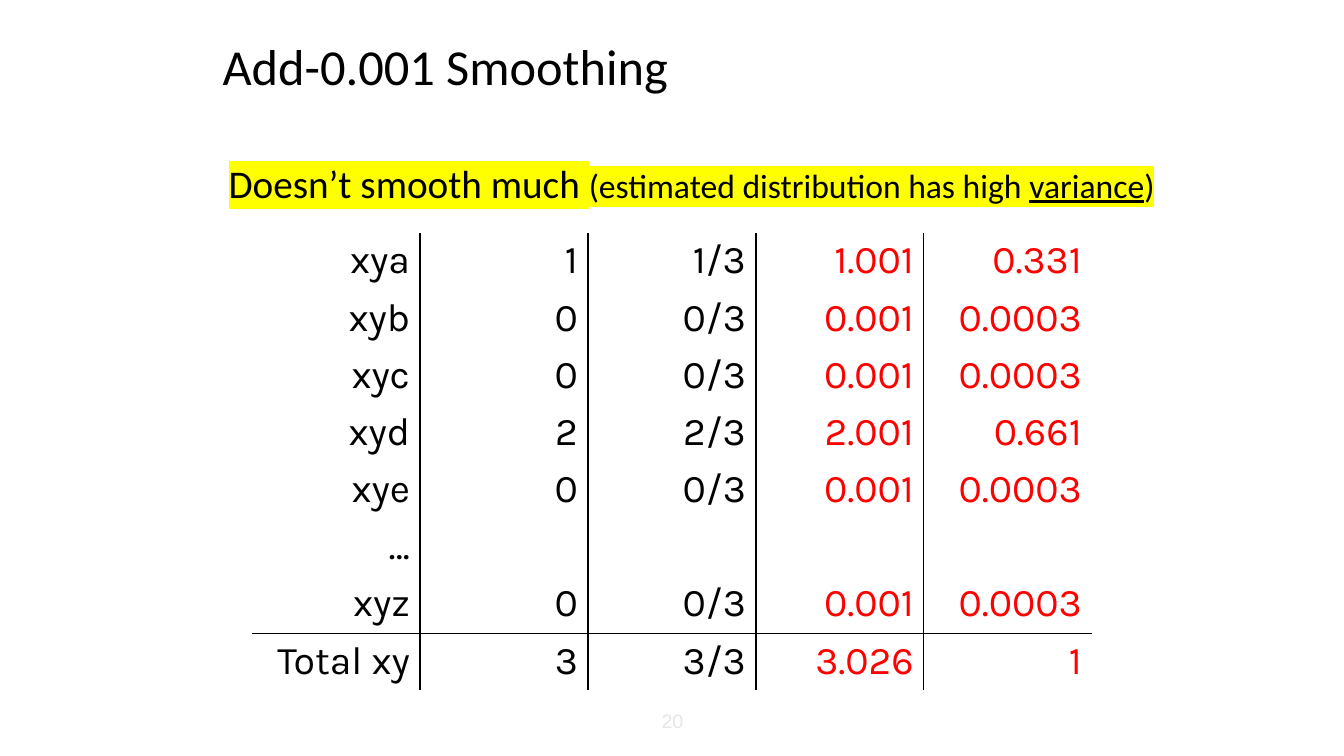
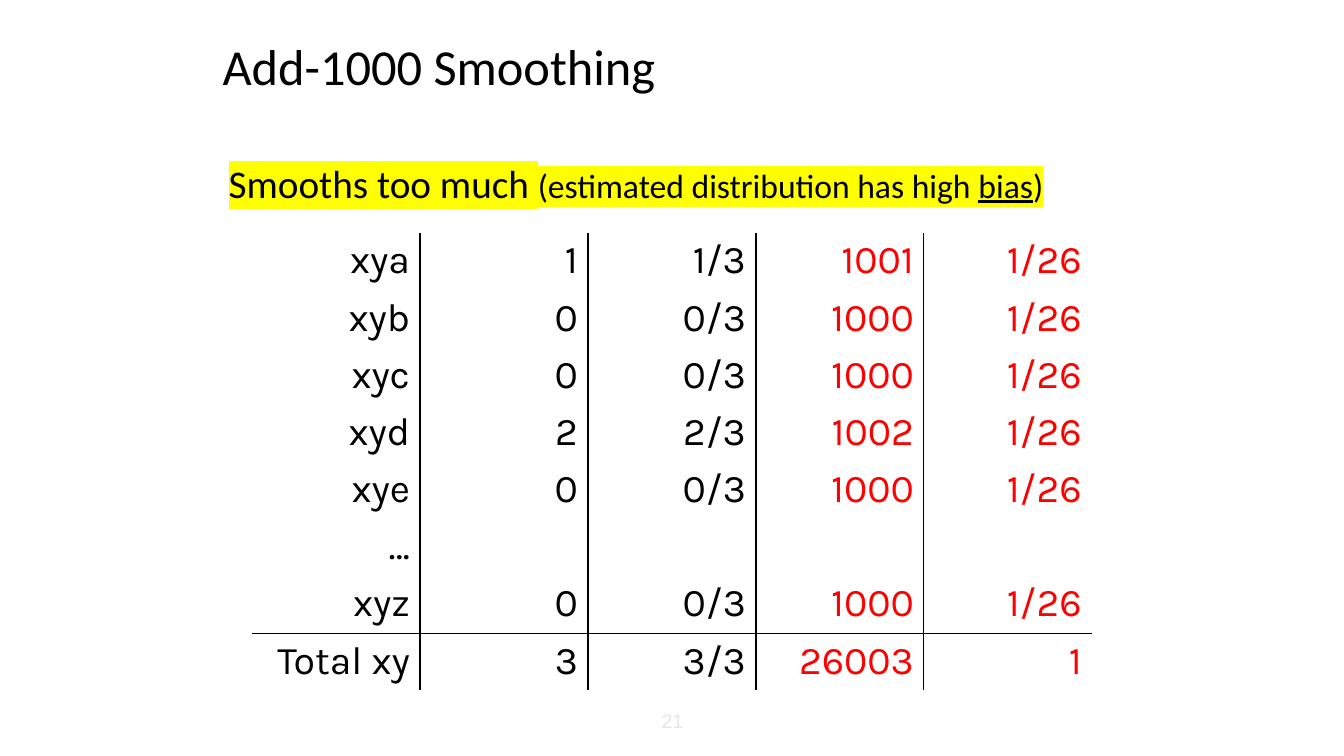
from lxml.etree import SubElement
from pptx import Presentation
from pptx.dml.color import RGBColor
from pptx.enum.text import MSO_ANCHOR as Anchor, PP_ALIGN as Align
from pptx.oxml.ns import qn
from pptx.util import Inches, Pt

BLACK, RED, YELLOW, PALE = "000000", "FF0000", "FFFF00", "E7E6E6"


def color(value):
    return RGBColor.from_string(value)


def add_span(para, text, size=28, font="Calibri", ink=BLACK, mark=None, underline=None):
    """Add one formatted run to a paragraph."""
    span = para.add_run()
    span.text = text
    span.font.size = Pt(size)
    span.font.color.rgb = color(ink)
    if mark:
        highlight = SubElement(span.font._element, qn("a:highlight"))
        SubElement(highlight, qn("a:srgbClr"), val=mark)
    span.font.name = font
    span.font.underline = underline


def set_border(cell, side, visible):
    line = SubElement(cell._tc.get_or_add_tcPr(), qn(f"a:ln{side}"), w=str(Pt(1)))
    if visible:
        fill = SubElement(line, qn("a:solidFill"))
        SubElement(fill, qn("a:srgbClr"), val=BLACK)
    else:
        SubElement(line, qn("a:noFill"))


class Deck:
    def __init__(self):
        self.deck = Presentation()
        self.deck.slide_width = Inches(13.33)
        self.deck.slide_height = Inches(7.5)
        self.page = None

    def add_page(self):
        self.page = self.deck.slides.add_slide(self.deck.slide_layouts[6])

    def text_box(self, left, top, width, height, anchor=Anchor.TOP):
        """Add a wrapping text box and return its first paragraph."""
        box = self.page.shapes.add_textbox(
            Inches(left), Inches(top), Inches(width), Inches(height))
        box.text_frame.word_wrap = True
        box.text_frame.vertical_anchor = anchor
        return box.text_frame.paragraphs[0]

    def title(self, text):
        para = self.text_box(2.11, 0.06, 9.56, 1.25, Anchor.MIDDLE)
        para.line_spacing = 0.9
        add_span(para, text, size=36)

    def remark(self, verdict, term):
        para = self.text_box(2.17, 1.58, 9.5, 0.6)
        para.line_spacing = 0.9
        add_span(para, verdict + " ", mark=YELLOW)
        add_span(para, "(estimated distribution has high ", size=24, mark=YELLOW)
        add_span(para, term, size=24, mark=YELLOW, underline=True)
        add_span(para, ")", size=24, mark=YELLOW)

    def page_number(self, number):
        para = self.text_box(5.67, 6.95, 2, 0.4, Anchor.MIDDLE)
        para.alignment = Align.CENTER
        add_span(para, str(number), size=14, font="Arial", ink=PALE)

    def count_table(self, rows):
        row_count, column_count = len(rows), len(rows[0])
        table = self.page.shapes.add_table(
            row_count, column_count,
            Inches(2.5), Inches(2.31), Inches(8.33), Inches(4.53)).table
        table.first_row = table.horz_banding = False
        for r, values in enumerate(rows):
            for c, value in enumerate(values):
                cell = table.cell(r, c)
                # Rules stand between columns and above the total row
                set_border(cell, "L", c > 0)
                set_border(cell, "R", c < column_count - 1)
                set_border(cell, "T", r == row_count - 1)
                set_border(cell, "B", r == row_count - 2)
                cell.fill.background()
                if value:
                    para = cell.text_frame.paragraphs[0]
                    para.alignment = Align.RIGHT
                    add_span(para, value, font="Karla", ink=RED if c > 2 else BLACK)

    def save(self):
        self.deck.save("out.pptx")


# Observed counts and relative frequencies, the same on both slides
OBSERVED = [
    ("xya", "1", "1/3"), ("xyb", "0", "0/3"), ("xyc", "0", "0/3"),
    ("xyd", "2", "2/3"), ("xye", "0", "0/3"), ("…", "", ""),
    ("xyz", "0", "0/3"), ("Total xy", "3", "3/3"),
]

# Smoothed counts and estimates, in the same row order
UNSEEN_SMALL = ("0.001", "0.0003")
UNSEEN_LARGE = ("1000", "1/26")
GAP = ("", "")
SLIDES = [
    (20, "Add-0.001 Smoothing", "Doesn’t smooth much", "variance",
     [("1.001", "0.331"), UNSEEN_SMALL, UNSEEN_SMALL, ("2.001", "0.661"),
      UNSEEN_SMALL, GAP, UNSEEN_SMALL, ("3.026", "1")]),
    (21, "Add-1000 Smoothing", "Smooths too much", "bias",
     [("1001", "1/26"), UNSEEN_LARGE, UNSEEN_LARGE, ("1002", "1/26"),
      UNSEEN_LARGE, GAP, UNSEEN_LARGE, ("26003", "1")]),
]

deck = Deck()
for number, heading, verdict, term, smoothed in SLIDES:
    deck.add_page()
    deck.title(heading)
    deck.count_table([seen + new for seen, new in zip(OBSERVED, smoothed)])
    deck.remark(verdict, term)
    deck.page_number(number)
deck.save()
